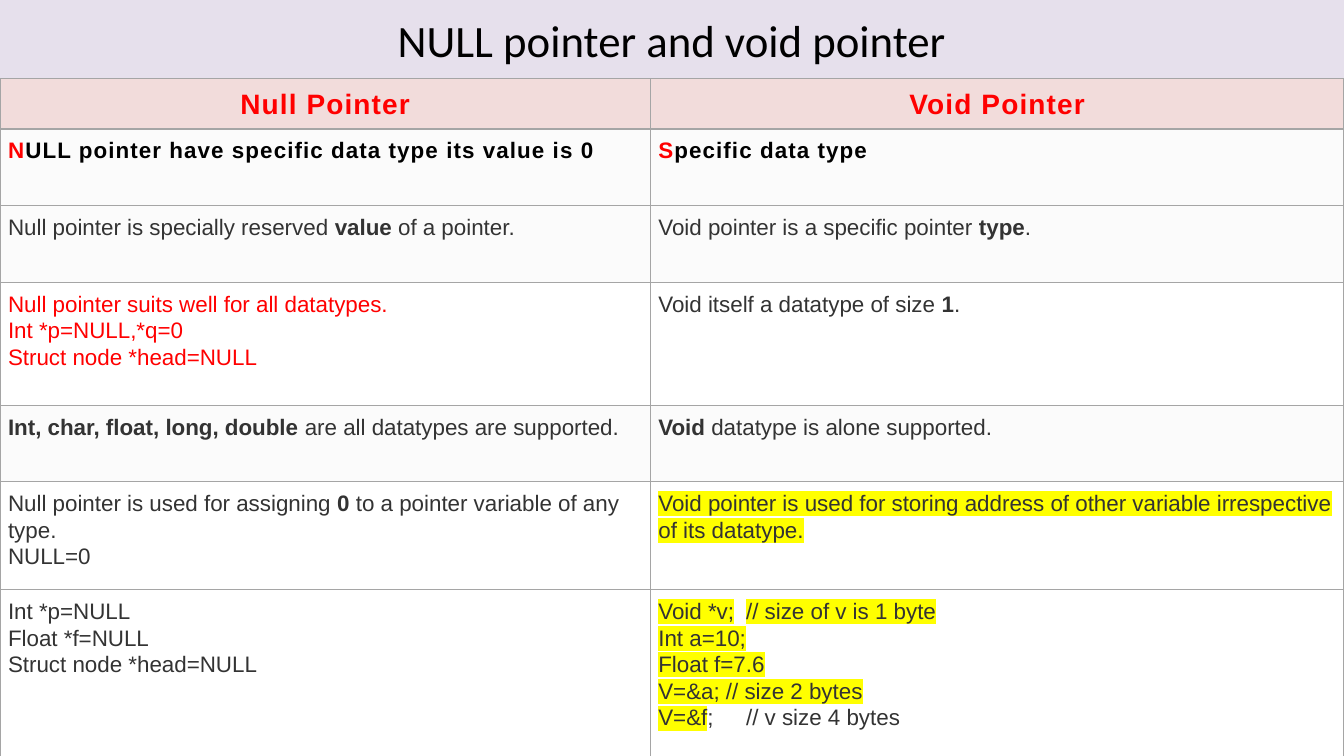
from lxml import etree
from pptx import Presentation
from pptx.dml.color import RGBColor
from pptx.enum.text import MSO_ANCHOR, PP_ALIGN
from pptx.oxml.ns import qn
from pptx.util import Inches, Pt

CENTER, LEFT = PP_ALIGN.CENTER, PP_ALIGN.LEFT
MIDDLE = MSO_ANCHOR.MIDDLE

BLACK = RGBColor(0x00, 0x00, 0x00)
DARK = RGBColor(0x33, 0x33, 0x33)
RED = RGBColor(0xFF, 0x00, 0x00)
YELLOW = RGBColor(0xFF, 0xFF, 0x00)
LAVENDER = RGBColor(0xE6, 0xE0, 0xEC)
PINK = RGBColor(0xF2, 0xDC, 0xDB)
OFF_WHITE = RGBColor(0xFB, 0xFB, 0xFB)
WHITE = RGBColor(0xFF, 0xFF, 0xFF)
GRAY = RGBColor(0xA5, 0xA5, 0xA5)

SLIDE_WIDTH, SLIDE_HEIGHT = 13.33, 7.5
TITLE_HEIGHT = 0.78
CELL_MARGIN = Inches(0.08)
COMMENT_TAB = Inches(0.87)

BOLD = dict(bold=True)
HEADING = dict(size=20, bold=True, color=RED, spacing=0.8)
LEAD = dict(bold=True, color=BLACK, spacing=0.8)
INITIAL = dict(LEAD, color=RED)
ALERT = dict(color=RED)
MARKED = dict(highlight=YELLOW)

# Each row: height, fill, then two cells. A cell is a list of paragraphs,
# a paragraph a list of (text, format) runs.
ROWS = [
    (0.5, PINK, [[("Null Pointer", HEADING)]], [[("Void Pointer", HEADING)]]),
    (0.76, OFF_WHITE,
     [[("N", INITIAL), ("ULL pointer have specific data type its value is 0", LEAD)]],
     [[("S", INITIAL), ("pecific data type", LEAD)]]),
    (0.76, OFF_WHITE,
     [[("Null pointer is specially reserved ", {}), ("value", BOLD), (" of a pointer.", {})]],
     [[("Void pointer is a specific pointer ", {}), ("type", BOLD), (".", {})]]),
    (1.22, WHITE,
     [[("Null pointer suits well for all datatypes.", ALERT)],
      [("Int *p=NULL,*q=0", ALERT)],
      [("Struct node *head=NULL", ALERT)]],
     [[("Void itself a datatype of size ", {}), ("1", BOLD), (".", {})]]),
    (0.76, OFF_WHITE,
     [[("Int, char, float, long, double", BOLD), (" are all datatypes are supported.", {})]],
     [[("Void", BOLD), (" datatype is alone supported.", {})]]),
    (1.07, WHITE,
     [[("Null pointer is used for assigning ", {}), ("0", BOLD),
       (" to a pointer variable of any type.", {})],
      [("NULL=0", {})]],
     [[("Void pointer is used for storing address of other variable "
        "irrespective of its datatype.", MARKED)]]),
    (1.68, WHITE,
     [[("Int *p=NULL", {})], [("Float *f=NULL", {})], [("Struct node *head=NULL", {})]],
     [[("Void *v;\t// size of v is 1 byte", MARKED)],
      [("Int a=10;", MARKED)],
      [("Float f=7.6", MARKED)],
      [("V=&a; // size 2 bytes", MARKED)],
      [("V=&f", MARKED), (";\t// v size 4 bytes", {})]]),
]


def add_run(paragraph, text, font="Arial", size=16, color=DARK, bold=False,
            spacing=0, highlight=None):
    run = paragraph.add_run()
    run.text = text
    run.font.name = font
    run.font.size = Pt(size)
    run.font.bold = bold
    run.font.color.rgb = color
    properties = run.font._element
    if spacing:
        properties.set("spc", str(round(spacing * 100)))
    if highlight is not None:
        mark = etree.Element(qn("a:highlight"))
        etree.SubElement(mark, qn("a:srgbClr"), val=str(highlight))
        properties.find(qn("a:solidFill")).addnext(mark)


def add_tab_stop(paragraph, position):
    tabs = etree.SubElement(paragraph._p.get_or_add_pPr(), qn("a:tabLst"))
    etree.SubElement(tabs, qn("a:tab"), pos=str(position), algn="l")


def set_borders(cell, color, width):
    properties = cell._tc.get_or_add_tcPr()
    for index, side in enumerate(("a:lnL", "a:lnR", "a:lnT", "a:lnB")):
        line = etree.Element(qn(side), w=str(Pt(width)))
        fill = etree.SubElement(line, qn("a:solidFill"))
        etree.SubElement(fill, qn("a:srgbClr"), val=str(color))
        properties.insert(index, line)


def fill_cell(cell, paragraphs, fill, align):
    cell.fill.solid()
    cell.fill.fore_color.rgb = fill
    set_borders(cell, GRAY, 1)
    cell.margin_left = cell.margin_right = CELL_MARGIN
    cell.margin_top = cell.margin_bottom = CELL_MARGIN
    frame = cell.text_frame
    for index, runs in enumerate(paragraphs):
        paragraph = frame.add_paragraph() if index else frame.paragraphs[0]
        paragraph.alignment = align
        paragraph.line_spacing = 1.07
        if any("\t" in text for text, _ in runs):
            add_tab_stop(paragraph, COMMENT_TAB)
        for text, style in runs:
            add_run(paragraph, text, **style)


def place_title(slide, left, top, width, height):
    title = slide.shapes.title
    title.left, title.top = Inches(left), Inches(top)
    title.width, title.height = Inches(width), Inches(height)
    title.fill.solid()
    title.fill.fore_color.rgb = LAVENDER
    frame = title.text_frame
    frame.vertical_anchor = MIDDLE
    heading = frame.paragraphs[0]
    heading.alignment = CENTER
    add_run(heading, "NULL pointer and void pointer", font="Calibri", size=32, color=BLACK)


def add_comparison(slide, left, top, width):
    height = sum(row[0] for row in ROWS)
    table = slide.shapes.add_table(len(ROWS), 2, Inches(left), Inches(top),
                                   Inches(width), Inches(height)).table
    table.first_row = table.horz_banding = False
    null_width = 6.45
    table.columns[0].width = Inches(null_width)
    table.columns[1].width = Inches(width - null_width)
    for index, (row_height, fill, *cells) in enumerate(ROWS):
        table.rows[index].height = Inches(row_height)
        for column, paragraphs in enumerate(cells):
            fill_cell(table.cell(index, column), paragraphs, fill, LEFT if index else CENTER)


def main():
    deck = Presentation()
    deck.slide_width, deck.slide_height = Inches(SLIDE_WIDTH), Inches(SLIDE_HEIGHT)
    slide = deck.slides.add_slide(deck.slide_layouts[5])
    place_title(slide, 0, 0, SLIDE_WIDTH, TITLE_HEIGHT)
    add_comparison(slide, 0, TITLE_HEIGHT, SLIDE_WIDTH)
    deck.save("out.pptx")


if __name__ == "__main__":
    main()
